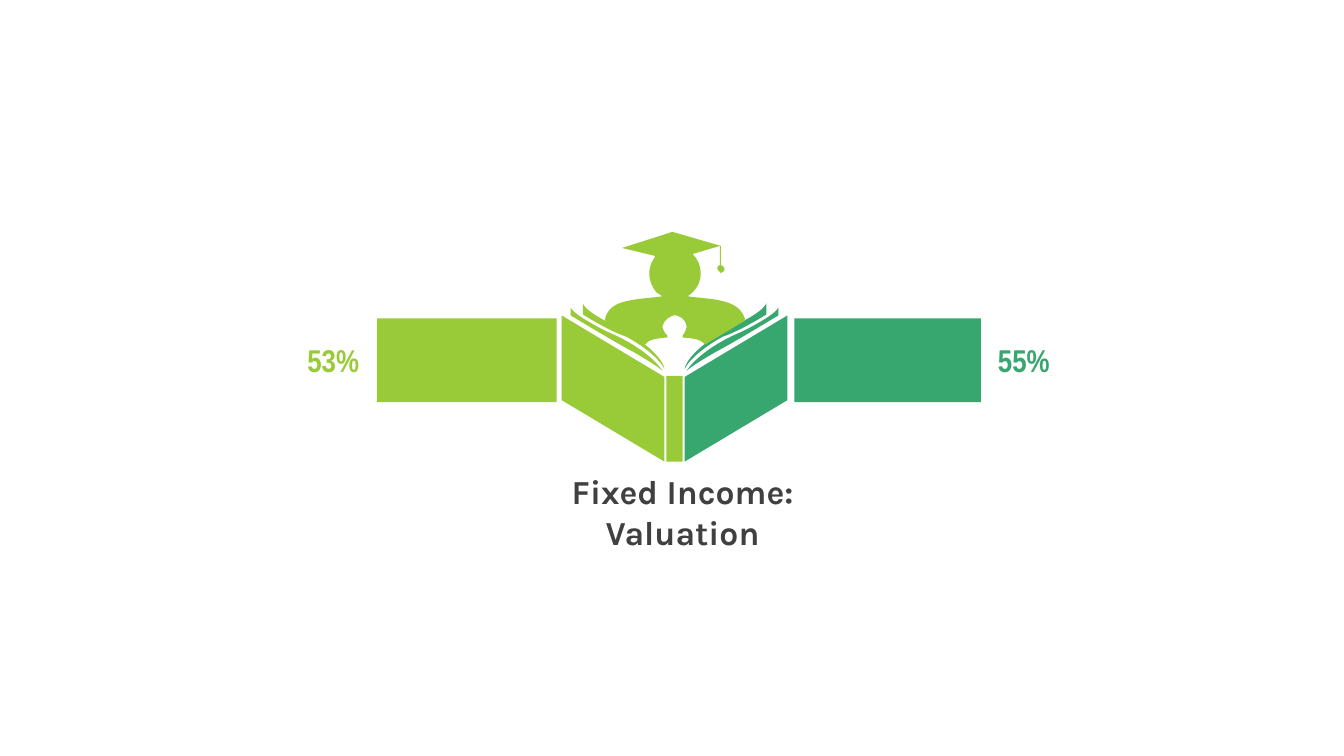
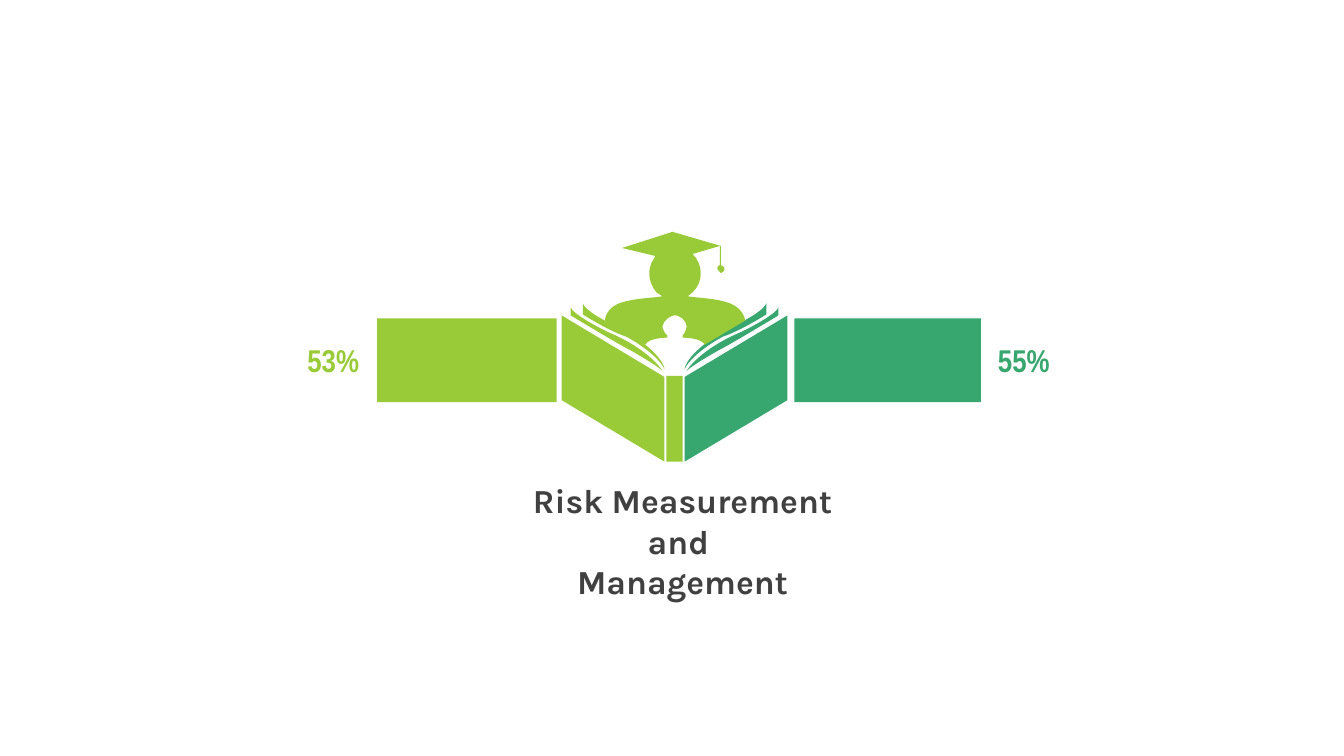
from lxml.etree import SubElement
from pptx import Presentation
from pptx.dml.color import RGBColor
from pptx.enum.shapes import MSO_SHAPE
from pptx.enum.text import MSO_ANCHOR, PP_ALIGN
from pptx.oxml.ns import qn
from pptx.util import Inches, Pt

COLS, ROWS = 1333, 750
CELL = Inches(0.01)
AXIS = 669
HUES = {"lime": "99CB38", "green": "37A76F", "ink": "404040"}
FONTS = {"label": "Arial Narrow", "title": "Karla"}

PAGE = """
M 557,313 659,374 659,458 557,397
M 566,305 569,313:602,329:602,329 645,347:657,368:657,368
  651,362:626,348:626,348 614,342:566,313:566,313
M 578,301 582,311:612,324:612,324 658,349:659,366:659,366
  650,349:621,334:621,334 603,328:578,312:578,312
"""
GRAD = """
M 661,373 677,373 677,458 661,458
M 667,230 715,244 715,263 717,264 719,265:719,267:718,269 715,271 713,269
  711,268:711,265:712,264 714,263 714,244 687,252
  692,257:695,264:695,271 695,279:692,285:687,290 682,294 690,295
  701,296:712,297:721,300 738,305:739,318:739,318 699,342
  696,335:677,335:677,335 677,333 680,330:681,324:681,324
  680,316:674,314:671,313 670,313 668,313 665,314:659,316:657,324
  657,324:658,330:662,333 662,335 662,335:643,335:640,342 600,318
  600,318:600,305:617,300 627,297:638,296:649,295 657,294 651,290
  647,285:644,279:644,271 644,267:645,264:646,261 650,254 617,246
"""


def trace(text, flip):
    steps = []
    for token in text.split():
        pairs = [tuple(map(int, pair.split(","))) for pair in token.split(":")]
        steps.append([((2 * AXIS - x if flip else x) * CELL, y * CELL)
                      for x, y in pairs])
    return steps


def bend(shape, steps):
    lines = iter(shape._element.xpath(".//a:lnTo"))
    for step in steps:
        line = next(lines)
        if len(step) == 3:
            line.addprevious(arc := SubElement(line.getparent(), qn("a:cubicBezTo")))
            for knot in (line, next(lines), next(lines)):
                arc.append(knot[0])
                knot.getparent().remove(knot)


class Deck:
    def __init__(self):
        self.show = Presentation()
        self.show.slide_width = COLS * CELL
        self.show.slide_height = ROWS * CELL
        self.slide = None

    def start(self):
        self.slide = self.show.slides.add_slide(self.show.slide_layouts[6])

    def paint(self, shape, hue):
        shape.shadow.inherit = False
        shape.fill.solid()
        shape.fill.fore_color.rgb = RGBColor.from_string(HUES[hue])
        shape.line.fill.background()

    def bar(self, box, hue):
        spot = [n * CELL for n in box]
        self.paint(self.slide.shapes.add_shape(MSO_SHAPE.RECTANGLE, *spot), hue)

    def form(self, outline, hue, flip=False):
        parts = [trace(part, flip) for part in outline.split("M")[1:]]
        pen = self.slide.shapes.build_freeform(*parts[0][0][0], scale=1.0)
        for index, (first, *rest) in enumerate(parts):
            if index:
                pen.move_to(*first[0])
            pen.add_line_segments([dot for step in rest for dot in step], close=True)
        shape = pen.convert_to_shape()
        bend(shape, [step for part in parts for step in part[1:]])
        self.paint(shape, hue)

    def text(self, words, box, *, font, size, hue, pad=(0, 0)):
        frame = self.slide.shapes.add_textbox(*[n * CELL for n in box]).text_frame
        frame.word_wrap = True
        frame.vertical_anchor = MSO_ANCHOR.MIDDLE
        frame.margin_left = frame.margin_right = pad[0] * CELL
        frame.margin_top = frame.margin_bottom = pad[1] * CELL
        frame.text = words
        for para in frame.paragraphs:
            para.alignment = PP_ALIGN.CENTER
            for run in para.runs:
                run.font.name = FONTS[font]
                run.font.size = Pt(size)
                run.font.bold = True
                run.font.color.rgb = RGBColor.from_string(HUES[hue])

    def book(self, title, height):
        self.start()
        self.form(PAGE, "lime")
        self.form(PAGE, "green", flip=True)
        sides = (
            (374, 178, 300, "53%", "lime"),
            (788, 185, 985, "55%", "green"),
        )
        for left, width, _, _, hue in sides:
            self.bar((left, 316, width, 83), hue)
        self.form(GRAD, "lime")
        for _, _, left, share, hue in sides:
            self.text(share, (left, 338, 61, 39), font="label", size=22.5, hue=hue)
        self.text(title, (489, 466, 376, height), font="title", size=24,
                  hue="ink", pad=(10, 5))


def main():
    deck = Deck()
    deck.book("Fixed Income: Valuation", 83)
    deck.book("Risk Measurement and \nManagement", 141)
    deck.show.save("out.pptx")


if __name__ == "__main__":
    main()
